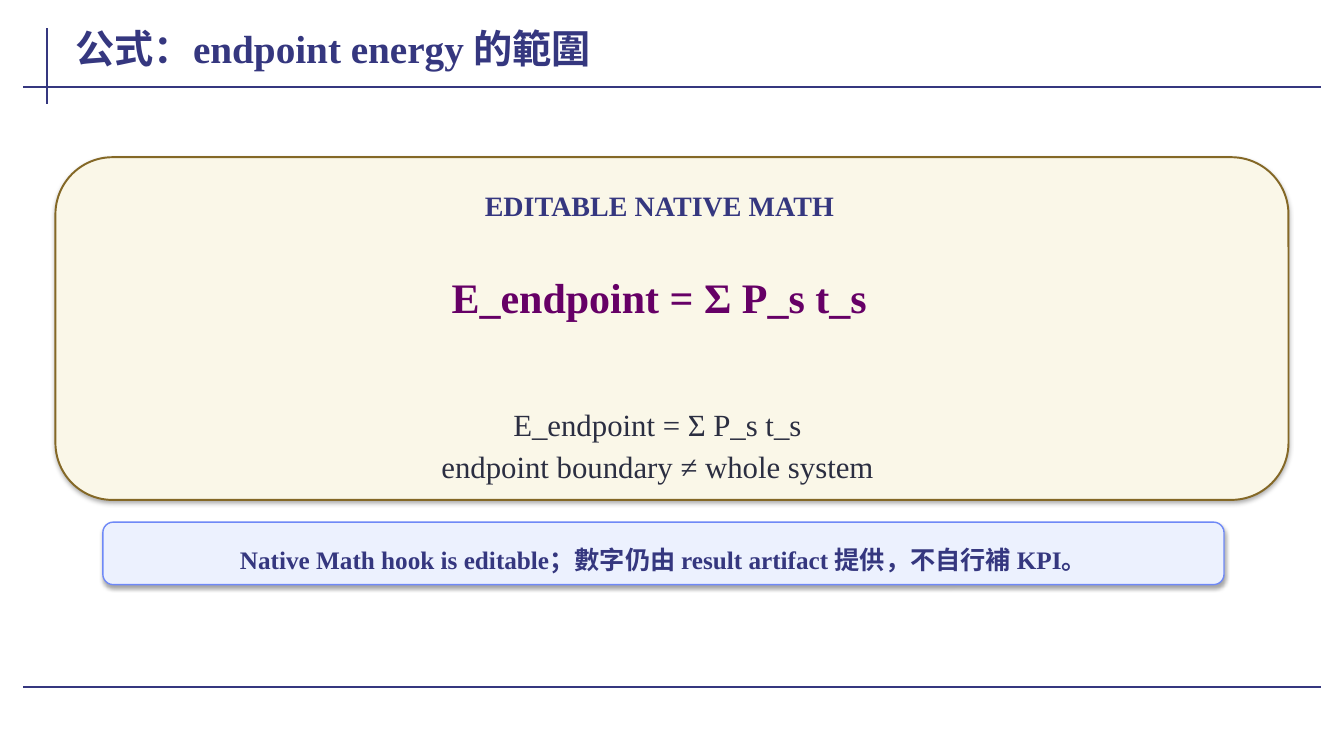
from pptx import Presentation
from pptx.dml.color import RGBColor
from pptx.enum.shapes import MSO_CONNECTOR, MSO_SHAPE
from pptx.enum.text import MSO_ANCHOR, MSO_AUTO_SIZE, PP_ALIGN
from pptx.util import Pt
from lxml.etree import SubElement
from pptx.oxml.ns import qn

PX = 9144  # 100 px to the inch
NAVY, PLUM, INK = "35377F", "660066", "2B2E41"


def color(hex_code):
    return RGBColor.from_string(hex_code)


def write(sp, text, size, hex_code=NAVY, bold=True, align=PP_ALIGN.CENTER,
          auto_size=MSO_AUTO_SIZE.SHAPE_TO_FIT_TEXT):
    tf = sp.text_frame
    tf.word_wrap = True
    tf.auto_size = auto_size
    tf.vertical_anchor = MSO_ANCHOR.TOP
    tf.margin_left = tf.margin_right = 8 * PX
    tf.margin_top, tf.margin_bottom = 3 * PX, 2 * PX
    tf.text = text
    for p in tf.paragraphs:
        p.alignment = align
        p.line_spacing = 1.05
        p.space_before, p.space_after = Pt(0), Pt(2)
        for r in p.runs:
            r.font.name = "Times New Roman"
            r.font.size = Pt(size)
            r.font.bold = bold
            r.font.color.rgb = color(hex_code)


prs = Presentation()
prs.slide_width, prs.slide_height = 1333 * PX, 750 * PX
s = prs.slides.add_slide(prs.slide_layouts[5])

# Frame lines
for ends in [(47, 28, 47, 103), (23, 86, 1310, 86), (23, 682, 1310, 682)]:
    line = s.shapes.add_connector(MSO_CONNECTOR.STRAIGHT, *(v * PX for v in ends))
    line.line.color.rgb = color(NAVY)
    line.line.width = Pt(1.5)
    SubElement(line._element.spPr, qn("a:effectLst"))

# Title
title = s.shapes.title
title.left, title.top, title.width, title.height = (v * PX for v in (67, 19, 1200, 63))
write(title, "公式：endpoint energy 的範圍", 28, align=PP_ALIGN.LEFT,
      auto_size=MSO_AUTO_SIZE.NONE)

# Formula panel and note bar, which keep the soft shadow of the theme
panels = [
    ((55, 156, 1223, 340), "FAF7E8", "846826", 1.4),
    ((102, 518, 1112, 62), "ECF1FE", "6F89F7", 1),
]
for box, fill, outline, width in panels:
    sp = s.shapes.add_shape(MSO_SHAPE.ROUNDED_RECTANGLE, *(v * PX for v in box))
    sp.fill.solid()
    sp.fill.fore_color.rgb = color(fill)
    sp.line.color.rgb = color(outline)
    sp.line.width = Pt(width)

# Panel texts
formula = "E_endpoint = Σ P_s t_s"
texts = [
    ((120, 182, 1068, 32), "EDITABLE NATIVE MATH", 20, NAVY, True),
    ((134, 264, 1040, 78), formula, 30, PLUM, True),
    ((128, 398, 1048, 76), f"{formula}\nendpoint boundary ≠ whole system", 22, INK, False),
    ((126, 536, 1064, 24),
     "Native Math hook is editable；數字仍由 result artifact 提供，不自行補 KPI。", 18, NAVY, True),
]
for box, text, size, hex_code, bold in texts:
    write(s.shapes.add_textbox(*(v * PX for v in box)), text, size, hex_code, bold)

prs.save("out.pptx")
